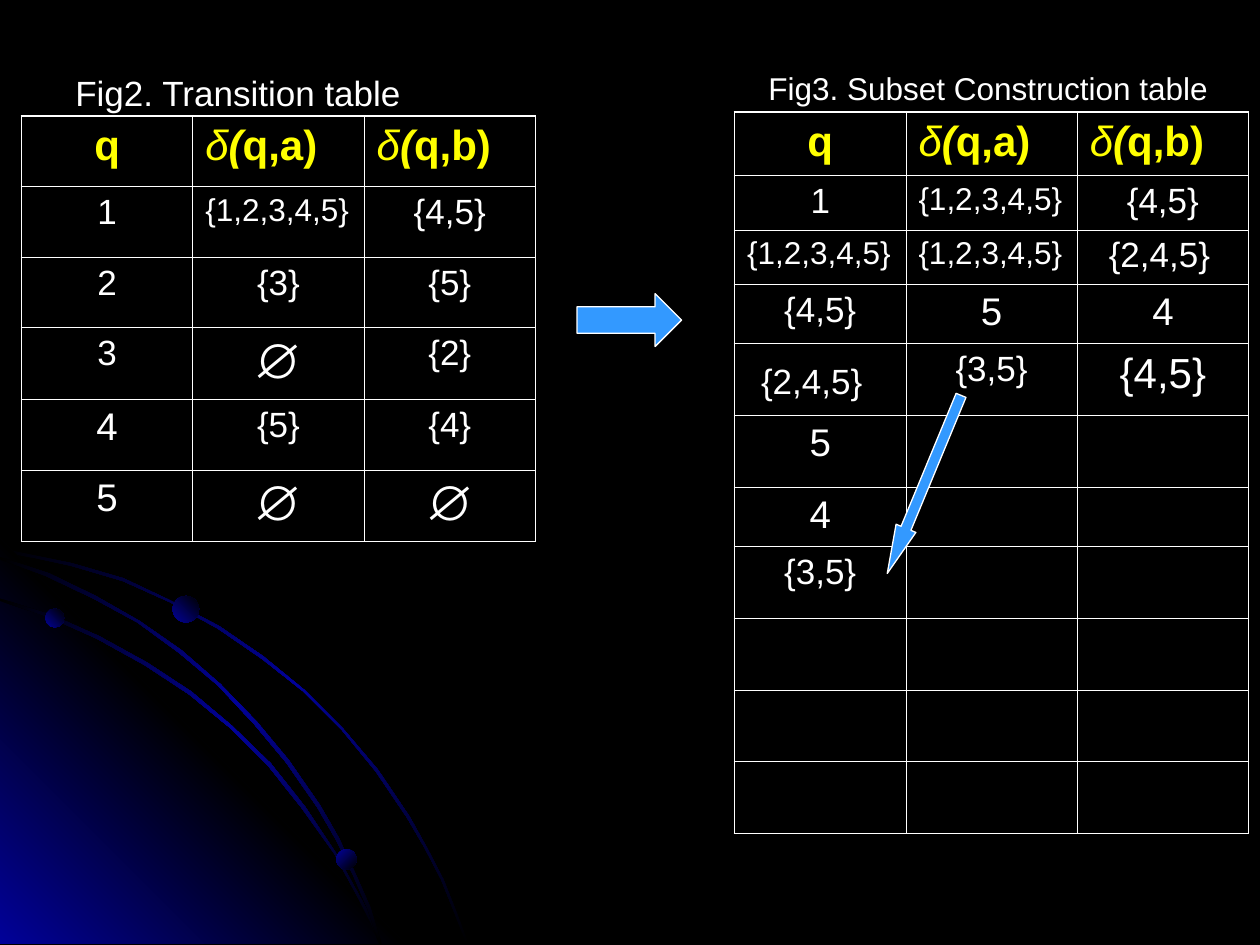
import pptx
import pptx.dml.color
import pptx.enum.shapes
import pptx.enum.text
import pptx.oxml
import pptx.oxml.ns
import pptx.util

GRID = pptx.util.Inches(0.01)
COLUMNS, ROWS = 1000, 750
WHITE, YELLOW, BLACK = "FFFFFF", "FFFF00", "000000"
NAVY, SKY = "010199", "3399FF"
OUTER, INNER = 1.08, 0.45
SIZES = {"{1,2,3,4,5}": 18, "4": 22, "5": 22, "∅": 28}
SHAPES = pptx.enum.shapes.MSO_SHAPE
ALIGN = pptx.enum.text.PP_ALIGN

TRANSITIONS = [
    ["1", "{1,2,3,4,5}", "{4,5}"],
    ["2", "{3}", "{5}"],
    ["3", "∅", "{2}"],
    ["4", "{5}", "{4}"],
    ["5", "∅", "∅"],
]
SUBSETS = [
    ["1", "{1,2,3,4,5}", "{4,5}"],
    ["{1,2,3,4,5}", "{1,2,3,4,5}", "{2,4,5}"],
    ["{4,5}", "5", "4"],
    ["{2,4,5}", "{3,5}", "{4,5}"],
    ["5", "", ""],
    ["4", "", ""],
    ["{3,5}", "", ""],
] + [[""] * 3] * 3

OUTER_ARC = [
    (57, 447), (28, 441), (0, 435), (0, 438), (28, 443), (56, 449), (97, 461),
    (135, 478), (173, 499), (208, 523), (241, 549), (271, 579), (298, 612),
    (323, 649), (337, 673), (350, 698), (360, 723), (370, 749), (372, 749),
    (362, 723), (352, 698), (339, 673), (325, 648), (300, 611), (272, 578),
    (242, 548), (209, 521), (174, 497), (136, 477), (98, 459)]
INNER_ARC = [
    (285, 714), (294, 732), (301, 749), (303, 749), (296, 730), (286, 712),
    (266, 676), (242, 640), (215, 606), (184, 576), (152, 549), (117, 526),
    (79, 505), (41, 488), (0, 475), (0, 477), (39, 490), (77, 507), (115, 528),
    (150, 551), (183, 578), (213, 608), (240, 642), (265, 677)]
MIDDLE_ARC = [
    (0, 442), (0, 444), (36, 457), (74, 475), (109, 494), (142, 518),
    (173, 544), (202, 575), (227, 605), (252, 641), (267, 667), (280, 694),
    (292, 722), (301, 749), (303, 749), (294, 720), (282, 693), (269, 665),
    (254, 639), (229, 603), (204, 573), (175, 543), (144, 516), (111, 493),
    (76, 473), (39, 455)]
CORNER = [(322, 749), (0, 749), (0, 427)]


def rgb(code):
    """Turn a hex string into a colour."""
    return pptx.dml.color.RGBColor.from_string(code)


def span(*cells):
    """Turn counts of grid cells into lengths."""
    return [GRID * cell for cell in cells]


def write(paragraph, text, size=20, color=WHITE, bold=False, italic=False, align=ALIGN.LEFT):
    """Add a formatted run to a paragraph."""
    paragraph.alignment = align
    run = paragraph.add_run()
    run.text = text
    run.font.name = "Arial"
    run.font.size = pptx.util.Pt(size)
    run.font.bold, run.font.italic = bold, italic
    run.font.color.rgb = rgb(color)


def shade(shape, colors, angle):
    """Fill a shape with an even linear gradient and no outline."""
    step = 100000 // (len(colors) - 1)
    stops = "".join(
        f'<a:gs pos="{place * step}"><a:srgbClr val="{color}"/></a:gs>'
        for place, color in enumerate(colors))
    shape._element.spPr.append(pptx.oxml.parse_xml(
        f'<a:gradFill {pptx.oxml.ns.nsdecls("a")} rotWithShape="1"><a:gsLst>{stops}</a:gsLst>'
        f'<a:lin ang="{angle * 60000}" scaled="0"/></a:gradFill>'))
    shape.line.fill.background()
    shape.shadow.inherit = False


def add_outline(slide, points, colors, angle):
    """Draw a closed shaded outline through grid points."""
    builder = slide.shapes.build_freeform(*points[0], scale=GRID)
    builder.add_line_segments(points[1:], close=True)
    shade(builder.convert_to_shape(), colors, angle)


def add_bead(slide, left, top, diameter, angle):
    """Draw a shaded circle on an arc."""
    bead = slide.shapes.add_shape(SHAPES.OVAL, *span(left, top, diameter, diameter))
    shade(bead, [NAVY, BLACK], angle)


def add_arrow(slide, kind, place, adjustments, rotation=0):
    """Draw a block arrow with a thin white outline."""
    arrow = slide.shapes.add_shape(kind, *span(*place))
    for index, value in enumerate(adjustments):
        arrow.adjustments[index] = value
    arrow.rotation = rotation
    arrow.fill.solid()
    arrow.fill.fore_color.rgb = rgb(SKY)
    arrow.line.color.rgb = rgb(WHITE)
    arrow.line.width = pptx.util.Pt(0.75)
    arrow.shadow.inherit = False


def add_caption(slide, text, place, size, wrap):
    """Add the caption above a table."""
    frame = slide.shapes.add_textbox(*span(*place)).text_frame
    frame.word_wrap = wrap
    write(frame.paragraphs[0], text, size=size)


def frame_cell(cell, widths):
    """Give a cell white borders, listed left, right, top, bottom, and no fill."""
    properties = cell._tc.get_or_add_tcPr()
    for side, width in zip("LRTB", widths):
        properties.append(pptx.oxml.parse_xml(
            f'<a:ln{side} {pptx.oxml.ns.nsdecls("a")} w="{pptx.util.Pt(width)}">'
            f'<a:solidFill><a:srgbClr val="{WHITE}"/></a:solidFill></a:ln{side}>'))
    cell.fill.background()


def write_header(cell, symbol):
    """Write the state heading or a transition heading for a symbol."""
    paragraph = cell.text_frame.paragraphs[0]
    heading = {"size": 24, "color": YELLOW}
    if symbol is None:
        write(paragraph, "q", bold=True, align=ALIGN.CENTER, **heading)
    else:
        write(paragraph, "δ", italic=True, **heading)
        write(paragraph, "(", bold=True, italic=True, **heading)
        write(paragraph, f"q,{symbol})", bold=True, **heading)


def add_state_table(slide, left, top, heights, states, sizes={}, insets={}):
    """Add a transition table with size and inset exceptions keyed by row and column."""
    place = span(left, top, 408, sum(heights))
    table = slide.shapes.add_table(len(heights), 3, *place).table
    table.first_row = table.horz_banding = False
    for column in table.columns:
        column.width = GRID * 136
    for row, height in enumerate(heights):
        table.rows[row].height = GRID * height
        for column in range(3):
            cell = table.cell(row, column)
            edges = [column == 0, column == 2, row == 0, row == len(heights) - 1]
            frame_cell(cell, [OUTER if edge else INNER for edge in edges])
            if row == 0:
                write_header(cell, [None, "a", "b"][column])
                continue
            text = states[row - 1][column]
            if not text:
                continue
            flush = text == "{1,2,3,4,5}" or (row, column) in insets
            cell.margin_left, cell.margin_top = span(*insets.get((row, column), (10, 5)))
            write(cell.text_frame.paragraphs[0], text,
                  size=sizes.get((row, column), SIZES.get(text, 20)),
                  align=ALIGN.LEFT if flush else ALIGN.CENTER)


def add_backdrop(slide):
    """Paint the black background with its blue corner, arcs and beads."""
    slide.background.fill.solid()
    slide.background.fill.fore_color.rgb = rgb(BLACK)
    glow = [BLACK, NAVY, BLACK]
    add_outline(slide, OUTER_ARC, glow, 45)
    add_outline(slide, CORNER, [NAVY, BLACK, NAVY], 315)
    add_outline(slide, INNER_ARC, glow, 45)
    add_outline(slide, MIDDLE_ARC, glow, 45)
    for bead in [(36, 483, 15, 315), (267, 674, 16, 45), (137, 473, 21, 315)]:
        add_bead(slide, *bead)


def main():
    """Build the slide and save it."""
    deck = pptx.Presentation()
    deck.slide_width, deck.slide_height = span(COLUMNS, ROWS)
    slide = deck.slides.add_slide(deck.slide_layouts[6])
    add_backdrop(slide)
    add_caption(slide, "Fig2. Transition table", (50, 52, 360, 40), 20, True)
    add_state_table(slide, 17, 92, [56, 56, 56, 57, 56, 57], TRANSITIONS)
    add_state_table(slide, 583, 89, [50, 43, 43, 47, 57, 57, 47] + [57] * 4, SUBSETS,
                    sizes={(4, 2): 24}, insets={(2, 2): (25, 5), (4, 0): (21, 15)})
    add_arrow(slide, SHAPES.DOWN_ARROW, (725, 308, 17, 153), [0.5, 2.28], 22.5)
    add_arrow(slide, SHAPES.RIGHT_ARROW, (458, 233, 83, 42), [0.5, 0.5])
    add_caption(slide, "Fig3. Subset Construction table", (600, 50, 369, 40), 18, False)
    deck.save("out.pptx")


if __name__ == "__main__":
    main()
